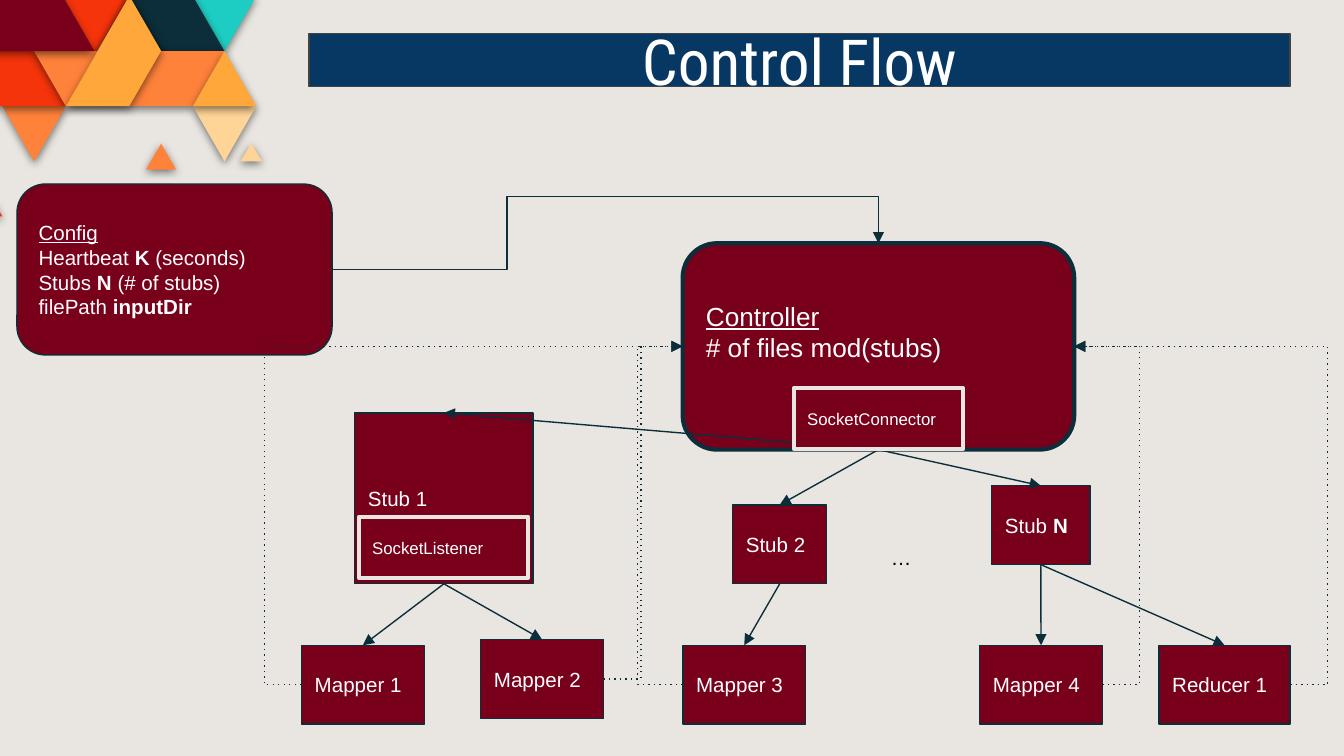
"""Build the Control Flow slide: config, controller, stubs and mappers."""
from lxml import etree
from pptx import Presentation
from pptx.dml.color import RGBColor
from pptx.enum.shapes import MSO_CONNECTOR, MSO_SHAPE
from pptx.enum.text import MSO_ANCHOR, MSO_AUTO_SIZE, PP_ALIGN
from pptx.oxml.ns import qn
from pptx.util import Pt

RECT, ROUNDED = MSO_SHAPE.RECTANGLE, MSO_SHAPE.ROUNDED_RECTANGLE
STRAIGHT, ELBOW = MSO_CONNECTOR.STRAIGHT, MSO_CONNECTOR.ELBOW
MIDDLE, NO_FIT = MSO_ANCHOR.MIDDLE, MSO_AUTO_SIZE.NONE
ALIGN_LEFT, ALIGN_CENTER = PP_ALIGN.LEFT, PP_ALIGN.CENTER
TOP, LEFT, BOTTOM, RIGHT = range(4)

SAND = RGBColor(0xE9, 0xE6, 0xE1)
WINE = RGBColor(0x78, 0x00, 0x1B)
INK = RGBColor(0x0C, 0x2E, 0x3A)
NAVY = RGBColor(0x07, 0x37, 0x63)
GRAY = RGBColor(0x43, 0x43, 0x43)
WHITE = RGBColor(0xFF, 0xFF, 0xFF)
BLACK = RGBColor(0x00, 0x00, 0x00)
RED = RGBColor(0xF5, 0x34, 0x0B)
TEAL = RGBColor(0x1D, 0xCD, 0xC3)
RUST = RGBColor(0xE3, 0x65, 0x1D)
ORANGE = RGBColor(0xFF, 0x82, 0x3B)
AMBER = RGBColor(0xFF, 0xA7, 0x3B)
PEACH = RGBColor(0xFF, 0xD4, 0x97)

MOSAIC = [
    (RED, [(4, 0), (2.9, 1.07), (1.9, 0)]),
    (RED, [(5, 1), (3, 1), (4, 0)]),
    (TEAL, [(8, 0), (7, 1), (6, 0)]),
    (INK, [(7, 1), (5, 1), (4, 0), (6, 0)]),
    (RED, [(5, 1), (4, 2), (3, 1)]),
    (RUST, [(4, 2), (2, 2), (3, 1)]),
    (AMBER, [(5, 1), (3, 1), (4, 0)]),
    (PEACH, [(8, 2), (7, 3), (6, 2)]),
    (ORANGE, [(5.47, 3.15), (4.53, 3.15), (5, 2.68)]),
    (PEACH, [(8.18, 3), (7.5, 3), (7.84, 2.68)]),
    (ORANGE, [(7, 1), (6, 2), (4, 2), (5, 1)]),
    (AMBER, [(8, 2), (6, 2), (7, 1)]),
    (ORANGE, [(2, 2), (1, 3), (0, 2)]),
    (RED, [(0, 4), (-2, 4), (-1, 3)]),
    (RED, [(2, 2), (-2, 2), (-1, 1), (1, 1)]),
    (ORANGE, [(3, 1), (2, 2), (1, 1)]),
    (WINE, [(2.9, 1), (-1.1, 1), (-0.1, 0), (1.9, 0)]),
    (AMBER, [(5, 1), (4, 2), (2, 2), (4, 0)]),
]


class FlowSlide:
    """Hold the style and the slide, and draw each kind of element."""

    font, title_font = "Arial", "Roboto Condensed"
    inset = 7.2

    def __init__(self, deck):
        self.slide = deck.slides.add_slide(deck.slide_layouts[5])
        self.shapes = self.slide.shapes
        self.slide.background.fill.solid()
        self.slide.background.fill.fore_color.rgb = SAND

    def paint(self, shape, fill, line, width):
        shape.fill.solid()
        shape.fill.fore_color.rgb = fill
        shape.line.color.rgb = line
        shape.line.width = Pt(width)

    def fill_text(self, frame, paragraphs, size, color=WHITE, font=font, align=ALIGN_LEFT, extra=0):
        frame.word_wrap = True
        frame.margin_left = frame.margin_right = frame.margin_top = Pt(self.inset)
        frame.margin_bottom = Pt(self.inset + extra)
        for index, runs in enumerate(paragraphs):
            paragraph = frame.add_paragraph() if index else frame.paragraphs[0]
            paragraph.alignment = align
            for text, mark in runs:
                run = paragraph.add_run()
                run.text = text
                run.font.name = font
                run.font.size = Pt(size)
                run.font.color.rgb = color
                run.font.bold = mark == "b"
                run.font.underline = mark == "u"

    def title(self, text, *bounds):
        heading = self.shapes.title
        heading.left, heading.top, heading.width, heading.height = map(Pt, bounds)
        self.paint(heading, NAVY, GRAY, 0.75)
        frame = heading.text_frame
        frame.auto_size = NO_FIT
        frame.vertical_anchor = MIDDLE
        self.fill_text(frame, [[(text, "")]], 34, font=self.title_font, align=ALIGN_CENTER)

    def box(self, paragraphs, *bounds, kind=RECT, size=11, line=INK, width=0.75, extra=0):
        shape = self.shapes.add_shape(kind, *map(Pt, bounds))
        shape.shadow.inherit = False
        self.paint(shape, WINE, line, width)
        shape.text_frame.vertical_anchor = MIDDLE
        self.fill_text(shape.text_frame, paragraphs, size, extra=extra)
        return shape

    def label(self, text, *bounds):
        note = self.shapes.add_textbox(*map(Pt, bounds))
        self.fill_text(note.text_frame, [[(text, "")]], 11, BLACK)

    def tile(self, color, corners):
        points = [(Pt(1.3 + 17 * column), Pt(-2.1 + 29.5 * row)) for column, row in corners]
        builder = self.shapes.build_freeform(*points[0])
        builder.add_line_segments(points[1:], close=True)
        shape = builder.convert_to_shape()
        shape.shadow.inherit = False
        shape.fill.solid()
        shape.fill.fore_color.rgb = color
        shape.line.fill.background()
        effects = shape._element.spPr.find(qn("a:effectLst"))
        shadow = etree.SubElement(effects, qn("a:outerShdw"), blurRad=str(Pt(4.5)),
                                  dist=str(Pt(1.5)), dir="5400000", rotWithShape="0")
        black = etree.SubElement(shadow, qn("a:srgbClr"), val="000000")
        etree.SubElement(black, qn("a:alpha"), val="50000")

    def style_line(self, connector, dotted=False, arrow=True):
        connector.line.color.rgb = INK
        connector.line.width = Pt(0.75)
        properties = connector._element.spPr
        line = properties.find(qn("a:ln"))
        if dotted:
            etree.SubElement(line, qn("a:prstDash"), val="dot")
        if arrow:
            etree.SubElement(line, qn("a:tailEnd"), type="triangle")
        etree.SubElement(properties, qn("a:effectLst"))

    def arrow(self, source, target):
        connector = self.shapes.add_connector(STRAIGHT, 0, 0, 0, 0)
        connector.begin_connect(source, BOTTOM)
        connector.end_connect(target, TOP)
        self.style_line(connector)

    def site(self, box, side):
        across = {LEFT: 0, RIGHT: box.width}.get(side, box.width // 2)
        down = {TOP: 0, BOTTOM: box.height}.get(side, box.height // 2)
        return box.left + across, box.top + down

    def elbow(self, source, start_side, target, end_side, via_x, via_y=None, **style):
        start, end = self.site(source, start_side), self.site(target, end_side)
        connector = self.shapes.add_connector(ELBOW, *start, *end)
        geometry = connector._element.spPr.find(qn("a:prstGeom"))
        bends = [via_x]
        if via_y is not None:
            geometry.set("prst", "bentConnector4")
            bends.append(via_y)
        guides = geometry.find(qn("a:avLst"))
        for number, (bend, begin, finish) in enumerate(zip(bends, start, end), 1):
            ratio = round(100000 * (Pt(bend) - begin) / (finish - begin))
            etree.SubElement(guides, qn("a:gd"), name=f"adj{number}", fmla=f"val {ratio}")
        self.style_line(connector, **style)


def main():
    deck = Presentation()
    deck.slide_width, deck.slide_height = Pt(720), Pt(405)
    flow = FlowSlide(deck)
    for color, corners in MOSAIC:
        flow.tile(color, corners)
    flow.title("Control Flow", 165.5, 18.1, 525.6, 28.4)

    config = flow.box([
        [("Config", "u")],
        [("Heartbeat ", ""), ("K ", "b"), ("(seconds)", "")],
        [("Stubs ", ""), ("N ", "b"), ("(# of stubs)", "")],
        [("filePath ", ""), ("inputDir", "b")],
    ], 9.1, 98.6, 168.8, 91.6, kind=ROUNDED)
    controller = flow.box([[("Controller", "u")], [("# of files mod(stubs)", "")]],
                          365.7, 130.3, 209.8, 110.6, kind=ROUNDED, size=14, width=2.25, extra=16)
    stub_1 = flow.box([[("Stub 1", "")]], 190, 221.2, 95.6, 91.6)
    stub_2 = flow.box([[("Stub 2", "")]], 392.5, 270.5, 50.4, 42.3)
    stub_n = flow.box([[("Stub ", ""), ("N", "b")]], 531.3, 260.2, 52.6, 42.3)
    flow.label("…", 470.2, 285.1, 28, 28)
    mapper_1, mapper_2, mapper_3, mapper_4, reducer = [
        flow.box([[(name, "")]], left, top, width, 42.3) for name, left, top, width in [
            ("Mapper 1", 161.5, 345.7, 65.8), ("Mapper 2", 257.5, 342.6, 65.8),
            ("Mapper 3", 365.8, 345.7, 65.8), ("Mapper 4", 524.8, 345.7, 65.8),
            ("Reducer 1", 620.9, 345.7, 70.3)]]

    for source, targets in [(controller, [stub_1, stub_2, stub_n]), (stub_1, [mapper_1, mapper_2]),
                            (stub_2, [mapper_3]), (stub_n, [mapper_4, reducer])]:
        for target in targets:
            flow.arrow(source, target)
    for worker, start, end, via_x, arrow in [
            (mapper_1, LEFT, LEFT, 141.7, True), (mapper_2, RIGHT, LEFT, 343.4, False),
            (mapper_3, LEFT, LEFT, 344.5, True), (mapper_4, RIGHT, RIGHT, 610.4, True),
            (reducer, RIGHT, RIGHT, 711.3, True)]:
        flow.elbow(worker, start, controller, end, via_x, dotted=True, arrow=arrow)
    flow.elbow(config, RIGHT, controller, TOP, 271.6, 105.2)

    for name, left, top in [("SocketConnector", 425.3, 207.9), ("SocketListener", 192.3, 276.8)]:
        flow.box([[(name, "")]], left, top, 90.6, 32.8, size=9, line=SAND, width=2.25)
    deck.save("out.pptx")


if __name__ == "__main__":
    main()
